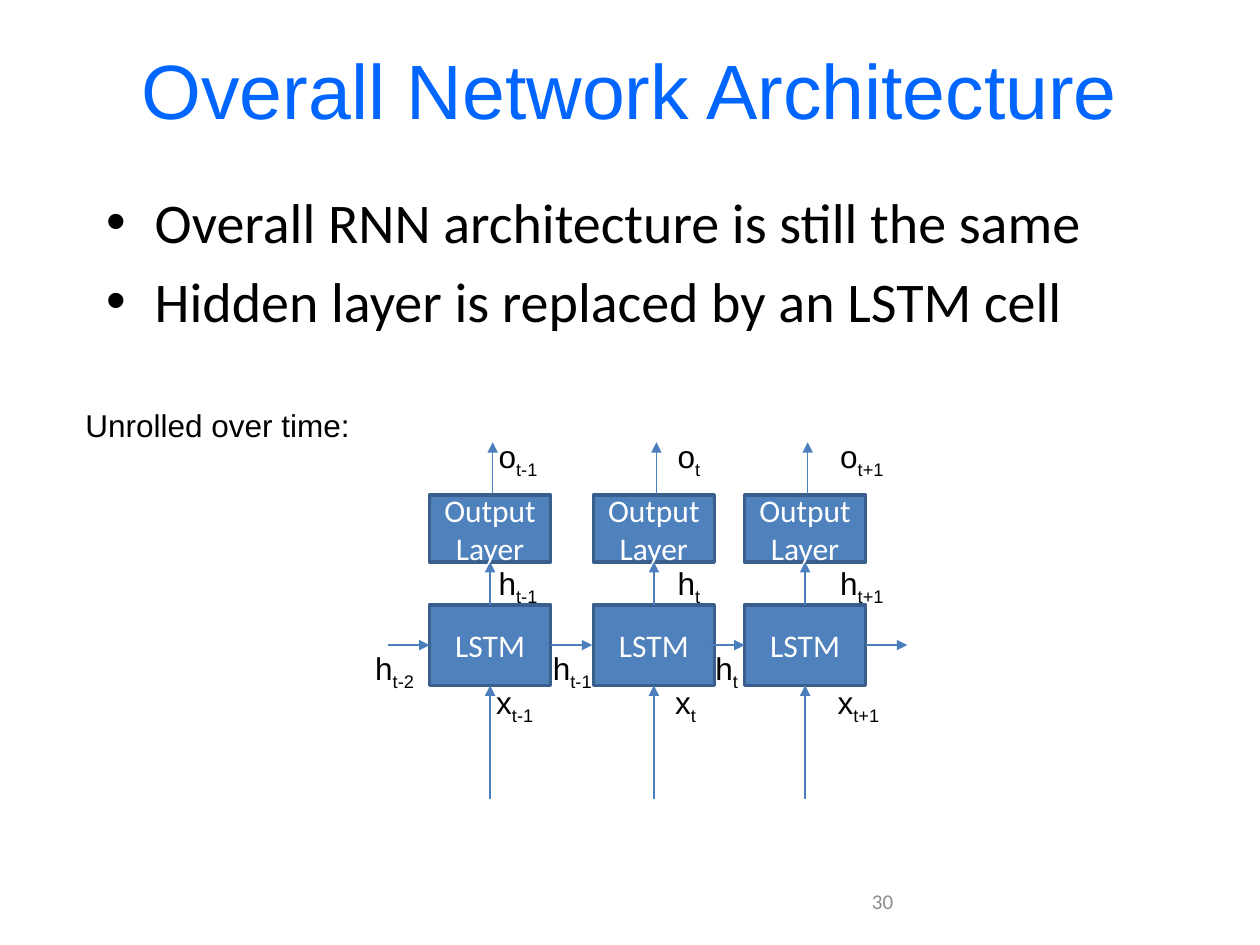
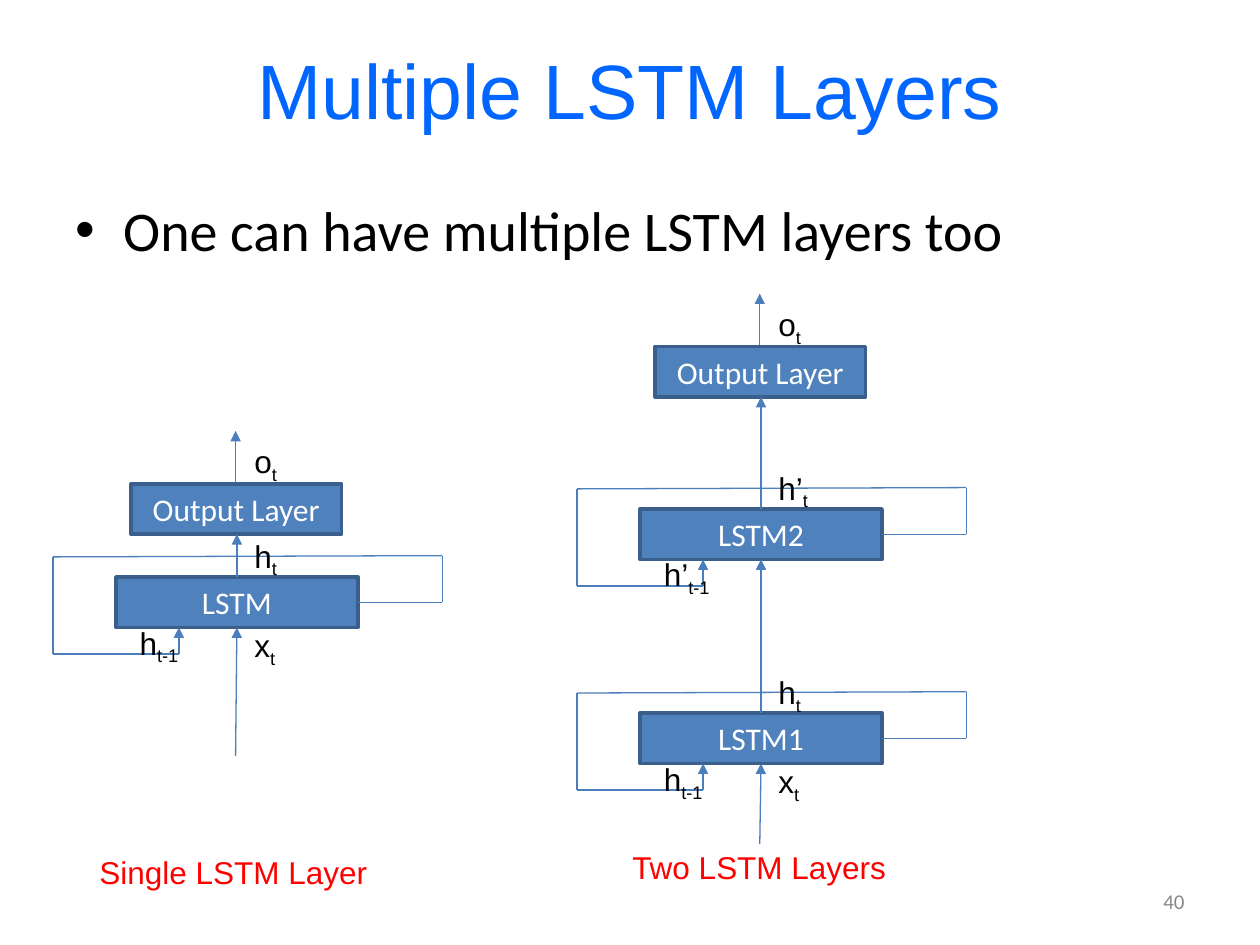
from lxml import etree
from pptx import Presentation
from pptx import util as u
from pptx.dml import color as dml
from pptx.enum import shapes, text
from pptx.oxml import ns

COLS, ROWS = 100, 75
WIDTH, HEIGHT = u.Inches(10), u.Inches(7.5)

COLORS = {
    "title": "0066FF", "text": "000000", "white": "FFFFFF", "caption": "FF0000",
    "fill": "4F81BD", "edge": "3A5F8C", "arrow": "4B7EBC",
    "page_mid": "8C8C8C", "page_right": "898989",
}
STYLES = {
    "title": {"name": "Arial", "size": u.Pt(44)},
    "body": {"name": "Calibri", "size": u.Pt(32)},
    "label": {"name": "Arial", "size": u.Pt(18)},
    "node": {"name": "Calibri", "size": u.Pt(18)},
    "page": {"name": "Calibri", "size": u.Pt(12)},
}
ALIGN = text.PP_ALIGN
MIDDLE = {"word_wrap": True, "vertical_anchor": text.MSO_ANCHOR.MIDDLE}
TOP = {"word_wrap": True, "vertical_anchor": text.MSO_ANCHOR.TOP}
TIGHT = {"word_wrap": False, "auto_size": text.MSO_AUTO_SIZE.SHAPE_TO_FIT_TEXT}
SUB_WIDTHS = {"t": 3.9, "t-1": 5.4, "t-2": 5.4, "t+1": 5.8}
LETTER_EXTRA = {"x": -0.1, "h’": 0.5}


def col(n):
    return round(WIDTH * n / COLS)


def row(n):
    return round(HEIGHT * n / ROWS)


def place(box):
    x, y, w, h = box
    return col(x), row(y), col(w), row(h)


def within(box, x, y, w, h):
    return box[0] + x, box[1] + y, w, h


def rgb(name):
    return dml.RGBColor.from_string(COLORS[name])


def apply(obj, fmt):
    for key, value in fmt.items():
        setattr(obj, key, value)


def add_run(p, words, style, color):
    r = p.add_run()
    r.text = words
    apply(r.font, STYLES[style])
    r.font.color.rgb = rgb(color)
    return r


def write(tf, lines, style, color, align, frame):
    apply(tf, frame)
    for i, line in enumerate(lines):
        p = tf.add_paragraph() if i else tf.paragraphs[0]
        p.alignment = align
        add_run(p, line, style, color)
    return tf


def text_box(s, box, lines, style, color="text", align=ALIGN.LEFT, frame=MIDDLE):
    return write(s.shapes.add_textbox(*place(box)).text_frame,
                 lines, style, color, align, frame)


def label(s, x, y, letter, sub):
    w = SUB_WIDTHS[sub] + LETTER_EXTRA.get(letter, 0)
    tf = text_box(s, (x, y, w, 4), [letter], "label", frame=TIGHT)
    r = add_run(tf.paragraphs[0], sub, "label", "text")
    r.font._element.set("baseline", "-25000")


def node(s, box, *lines):
    sp = s.shapes.add_shape(shapes.MSO_SHAPE.RECTANGLE, *place(box))
    sp.shadow.inherit = False
    sp.fill.solid()
    sp.fill.fore_color.rgb = rgb("fill")
    sp.line.color.rgb = rgb("edge")
    sp.line.width = u.Pt(2)
    write(sp.text_frame, lines, "node", "white", ALIGN.CENTER, MIDDLE)


def line(s, box, start, end, arrow=True):
    (x1, y1), (x2, y2) = start, end
    cx = s.shapes.add_connector(
        shapes.MSO_CONNECTOR.STRAIGHT,
        col(box[0] + x1), row(box[1] + y1), col(box[0] + x2), row(box[1] + y2))
    cx.line.color.rgb = rgb("arrow")
    cx.line.width = u.Pt(0.75)
    if arrow:
        etree.SubElement(cx.line._get_or_add_ln(), ns.qn("a:tailEnd"), type="triangle")
    etree.SubElement(cx._element.spPr, ns.qn("a:effectLst"))


def bullets(s, box, lines):
    tf = text_box(s, box, lines, "body", frame=TOP)
    for i, p in enumerate(tf.paragraphs):
        pPr = p._p.get_or_add_pPr()
        pPr.set("marL", str(u.Inches(0.38)))
        pPr.set("indent", str(-u.Inches(0.38)))
        etree.SubElement(pPr, ns.qn("a:buFont"), typeface="Arial")
        etree.SubElement(pPr, ns.qn("a:buChar"), char="•")
        if i:
            p.space_before = u.Pt(6.4)


def base_slide(prs, title, page, page_box, page_color, page_align):
    s = prs.slides.add_slide(prs.slide_layouts[6])
    text_box(s, (5, 0.8, 90, 12.5), [title], "title", "title", ALIGN.CENTER)
    text_box(s, page_box, [page], "page", page_color, page_align)
    return s


def time_step(s, box, sub, label_x):
    w = box[2]
    node(s, within(box, 0, 13.8, w, 6.4), "LSTM")
    node(s, within(box, 0, 5.1, w, 5.3), "Output", "Layer")
    for x, y1, y2 in ((5, 5, 0.9), (4.8, 29.2, 20.2), (4.8, 13.8, 10.4)):
        line(s, box, (x, y1), (x, y2))
    for letter, dx, y in (("x", 0, 19.5), ("h", 0.2, 10.1), ("o", 0.2, 0)):
        label(s, box[0] + label_x + dx, box[1] + y, letter, sub)


def unrolled_network(s, box):
    for x, sub, label_x in ((5.3, "t-1", 4.3), (18.3, "t", 5.5), (30.3, "t+1", 6.4)):
        time_step(s, within(box, x, 0, 9.6, box[3]), sub, label_x)
    for x in (2, 14.9, 27, 39.9):
        line(s, box, (x, 17), (x + 3.3, 17))
    for x, sub in ((0, "t-2"), (14.1, "t-1"), (27, "t")):
        label(s, box[0] + x, box[1] + 16.8, "h", sub)


def recurrent_layer(s, box, name, letter):
    x, y, w, h = box
    node(s, box, name)
    loop = ((w, h / 2), (w + 6.7, h / 2), (w + 6.7, -1.7), (-5, -1.6),
            (-5, h + 2.1), (5, h + 2.1), (5, h))
    for i, (start, end) in enumerate(zip(loop, loop[1:]), 2):
        line(s, box, start, end, arrow=i == len(loop))
    label(s, x + 10, y - 3.7, letter, "t")
    label(s, x + 0.9, y + 3.2, letter, "t-1")


def layer_stack(s, box, layers):
    x, y, w, h = box
    node_h, bottom = 4, 8.2
    node(s, within(box, 1.2, bottom - node_h, 16.7, node_h), "Output Layer")
    line(s, box, (9.5, 4.1), (9.5, 0))
    label(s, x + 10, y + 0.4, "o", "t")
    for top, name, letter in layers:
        recurrent_layer(s, within(box, 0, top, w, node_h), name, letter)
        line(s, box, (w / 2, top), (w / 2, bottom))
        bottom = top + node_h
    line(s, box, (9.5, h), (w / 2, bottom))
    label(s, x + 10, y + bottom - 0.6, "x", "t")


def architecture_slide(prs):
    s = base_slide(prs, "Overall Network Architecture", "30",
                   (54.2, 69.5, 31.7, 4), "page_mid", ALIGN.CENTER)
    bullets(s, (7.5, 14.4, 85, 18.5), ["Overall RNN architecture is still the same",
                                       "Hidden layer is replaced by an LSTM cell"])
    unrolled_network(s, (28.8, 34.2, 43.2, 29.2))
    text_box(s, (5.8, 31.7, 23.2, 4), ["Unrolled over time:"], "label", frame=TIGHT)


def layers_slide(prs):
    s = base_slide(prs, "Multiple LSTM Layers", "40",
                   (71.7, 69.5, 23.3, 4), "page_right", ALIGN.RIGHT)
    bullets(s, (5, 15, 90, 56.7), ["One can have multiple LSTM layers too"])
    layer_stack(s, (9.2, 34.2, 19.2, 25.8), [(11.6, "LSTM", "h")])
    layer_stack(s, (50.8, 23.3, 19.2, 43.7),
                [(17.1, "LSTM2", "h’"), (33.3, "LSTM1", "h")])
    for box, words in (((6.9, 67.2, 23.5, 4), "Single LSTM Layer"),
                       ((49.2, 66.8, 22.4, 4), "Two LSTM Layers")):
        text_box(s, box, [words], "label", "caption", frame=TIGHT)


def main():
    prs = Presentation()
    apply(prs, {"slide_width": WIDTH, "slide_height": HEIGHT})
    architecture_slide(prs)
    layers_slide(prs)
    prs.save("out.pptx")


if __name__ == "__main__":
    main()
